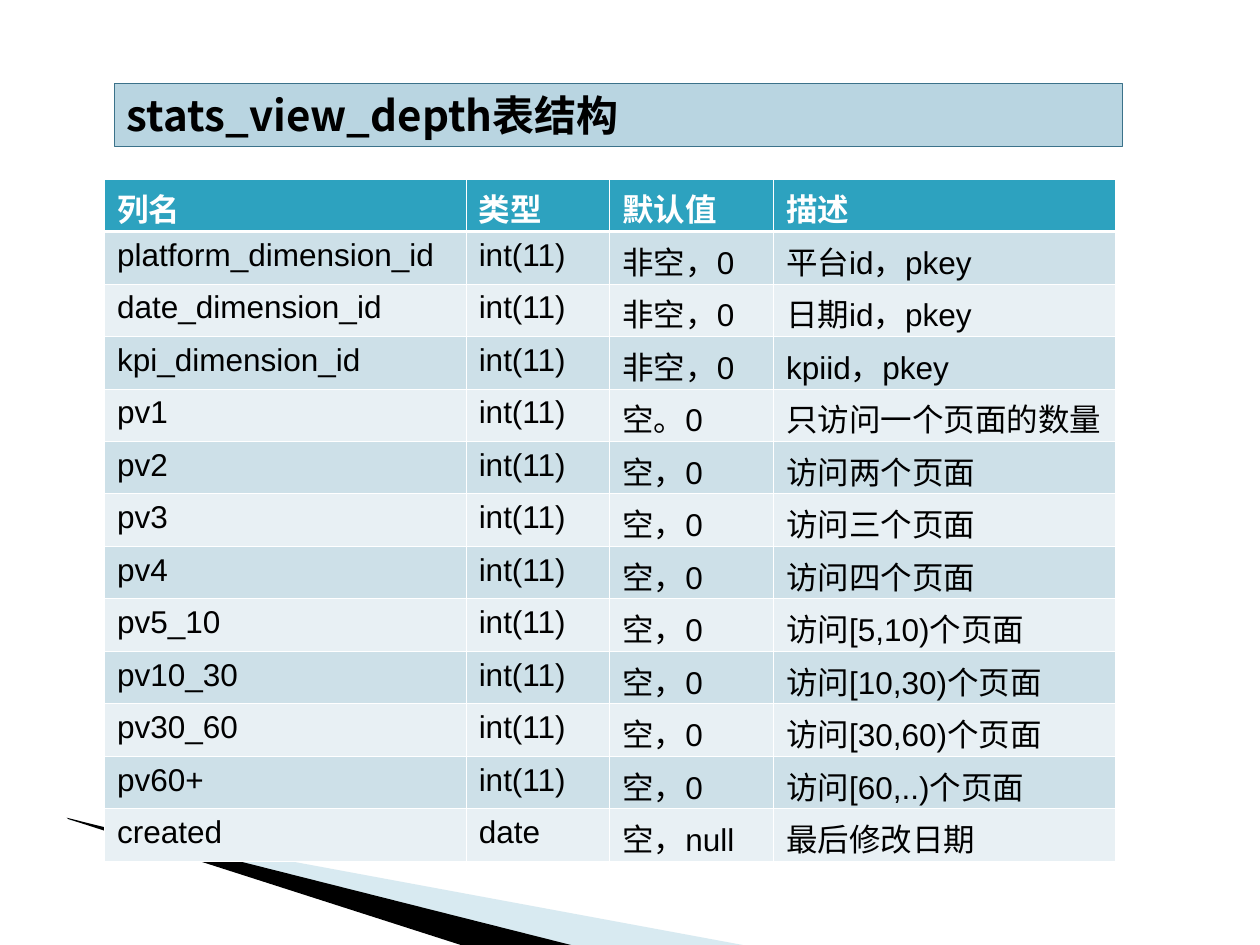
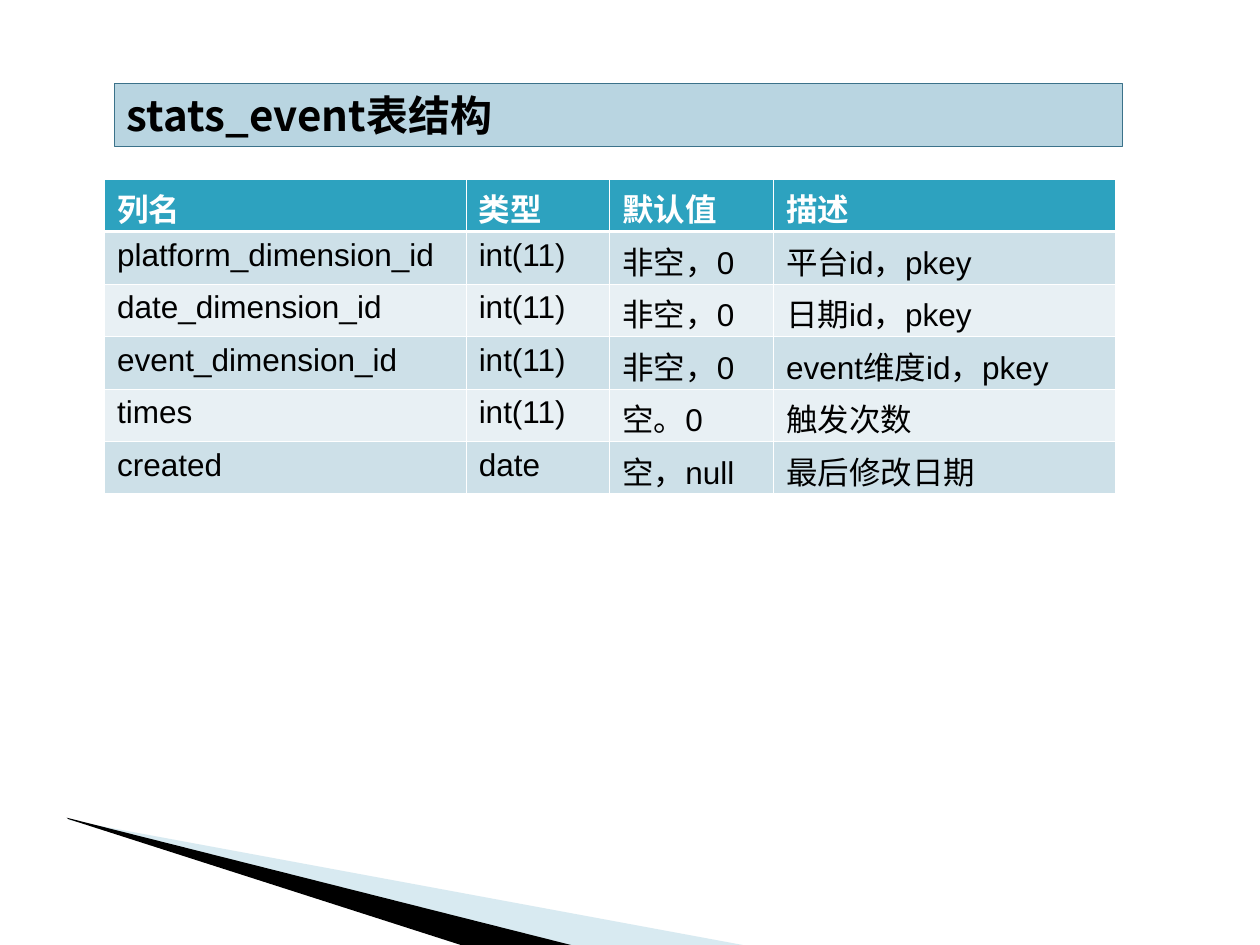
"""Build two slides that describe the columns of statistics tables."""
from lxml.etree import SubElement
from pptx import Presentation
from pptx.dml.color import RGBColor
from pptx.enum.shapes import MSO_SHAPE
from pptx.enum.text import MSO_ANCHOR, PP_ALIGN
from pptx.oxml.ns import qn
from pptx.util import Inches, Pt

BLACK, WHITE = "000000", "FFFFFF"
HEADER_FILL = "2DA2BF"
BAND_FILLS = ["E8F0F4", "CDE0E8"]
TITLE_FILL, TITLE_LINE = "B9D5E1", "3B728A"
LATIN_FONT, CHINESE_FONT = "Arial", "Noto Sans CJK SC"
COLUMN_WIDTHS = [2.87, 1.14, 1.3, 2.71]
ROW_HEIGHT = Inches(5 / 12)
THIN, THICK = Pt(0.45), Pt(1.47)

WEDGES = [
    ("9FCBDC", 40, [(0.55, 6.51), (5.95, 7.51), (4.56, 7.51), (0.55, 6.5)]),
    (BLACK, 100, [(0.53, 6.49), (4.57, 7.51), (3.72, 7.52), (0.54, 6.5)]),
]
HEADER = ("列名", "类型", "默认值", "描述")
SHARED_ROWS = [
    ("platform_dimension_id", "int(11)", "非空，0", "平台id，pkey"),
    ("date_dimension_id", "int(11)", "非空，0", "日期id，pkey"),
]
CREATED_ROW = ("created", "date", "空，null", "最后修改日期")
TABLES = {
    "stats_view_depth": [
        ("kpi_dimension_id", "int(11)", "非空，0", "kpiid，pkey"),
        ("pv1", "int(11)", "空。0", "只访问一个页面的数量"),
        ("pv2", "int(11)", "空，0", "访问两个页面"),
        ("pv3", "int(11)", "空，0", "访问三个页面"),
        ("pv4", "int(11)", "空，0", "访问四个页面"),
        ("pv5_10", "int(11)", "空，0", "访问[5,10)个页面"),
        ("pv10_30", "int(11)", "空，0", "访问[10,30)个页面"),
        ("pv30_60", "int(11)", "空，0", "访问[30,60)个页面"),
        ("pv60+", "int(11)", "空，0", "访问[60,..)个页面"),
    ],
    "stats_event": [
        ("event_dimension_id", "int(11)", "非空，0", "event维度id，pkey"),
        ("times", "int(11)", "空。0", "触发次数"),
    ],
}


def paint(color_format, color):
    """Give a fill or a font a solid colour."""
    if hasattr(color_format, "solid"):
        color_format.solid()
        color_format.fore_color.rgb = RGBColor.from_string(color)
    else:
        color_format.color.rgb = RGBColor.from_string(color)


def write(text_frame, text, size, latin_font, color, bold):
    """Write one left-aligned paragraph with its Latin and Chinese fonts."""
    paragraph = text_frame.paragraphs[0]
    paragraph.alignment = PP_ALIGN.LEFT
    run = paragraph.add_run()
    run.text = text
    run.font.size, run.font.bold, run.font.name = Pt(size), bold, latin_font
    paint(run.font, color)
    SubElement(run.font._element, qn("a:ea"), typeface=CHINESE_FONT)


presentation = Presentation()
presentation.slide_width, presentation.slide_height = Inches(10), Inches(7.5)

for table_name, own_rows in TABLES.items():
    slide = presentation.slides.add_slide(presentation.slide_layouts[6])

    for color, opacity, points in WEDGES:
        corners = [(Inches(x), Inches(y)) for x, y in points]
        builder = slide.shapes.build_freeform(*corners[0])
        builder.add_line_segments(corners[1:], close=True)
        wedge = builder.convert_to_shape()
        wedge.shadow.inherit = False
        wedge.line.fill.background()
        paint(wedge.fill, color)
        if opacity < 100:
            color_element = wedge._element.spPr.find(qn("a:solidFill"))[0]
            SubElement(color_element, qn("a:alpha"), val=str(opacity * 1000))

    title = slide.shapes.add_shape(
        MSO_SHAPE.RECTANGLE, Inches(0.91), Inches(0.66), Inches(8), Inches(0.5))
    title.shadow.inherit = False
    paint(title.fill, TITLE_FILL)
    paint(title.line.fill, TITLE_LINE)
    title.line.width = Pt(0.25)
    title.text_frame.vertical_anchor = MSO_ANCHOR.MIDDLE
    write(title.text_frame, f"{table_name}表结构", 24, CHINESE_FONT, BLACK, True)

    rows = [HEADER, *SHARED_ROWS, *own_rows, CREATED_ROW]
    table = slide.shapes.add_table(
        len(rows), len(HEADER), Inches(0.83), Inches(1.42),
        Inches(sum(COLUMN_WIDTHS)), ROW_HEIGHT * len(rows)).table
    for column, width in zip(table.columns, COLUMN_WIDTHS):
        column.width = Inches(width)

    for row_index, texts in enumerate(rows):
        table.rows[row_index].height = ROW_HEIGHT
        is_header = row_index == 0
        borders = {"lnL": THIN, "lnR": THIN,
                   "lnT": THICK if row_index == 1 else THIN,
                   "lnB": THICK if is_header else THIN}
        for column_index, text in enumerate(texts):
            cell = table.cell(row_index, column_index)
            cell.margin_top, cell.margin_bottom = Inches(0.05), 0
            properties = cell._tc.get_or_add_tcPr()
            for side, width in borders.items():
                border = SubElement(properties, qn(f"a:{side}"), w=str(width))
                border_fill = SubElement(border, qn("a:solidFill"))
                SubElement(border_fill, qn("a:srgbClr"), val=WHITE)
            paint(cell.fill, HEADER_FILL if is_header else BAND_FILLS[row_index % 2])
            write(cell.text_frame, text, 18, LATIN_FONT,
                  WHITE if is_header else BLACK, is_header)

presentation.save("out.pptx")
